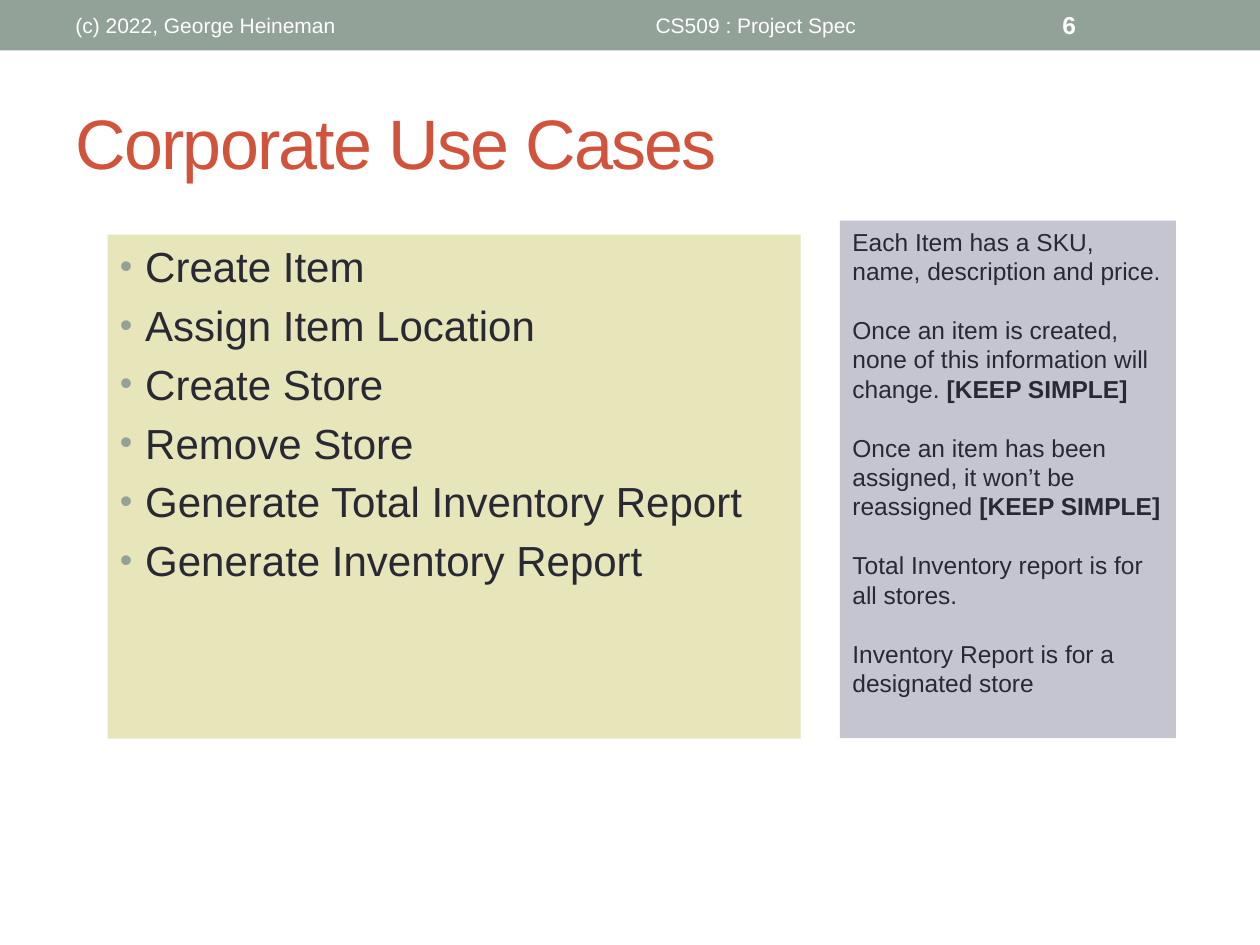
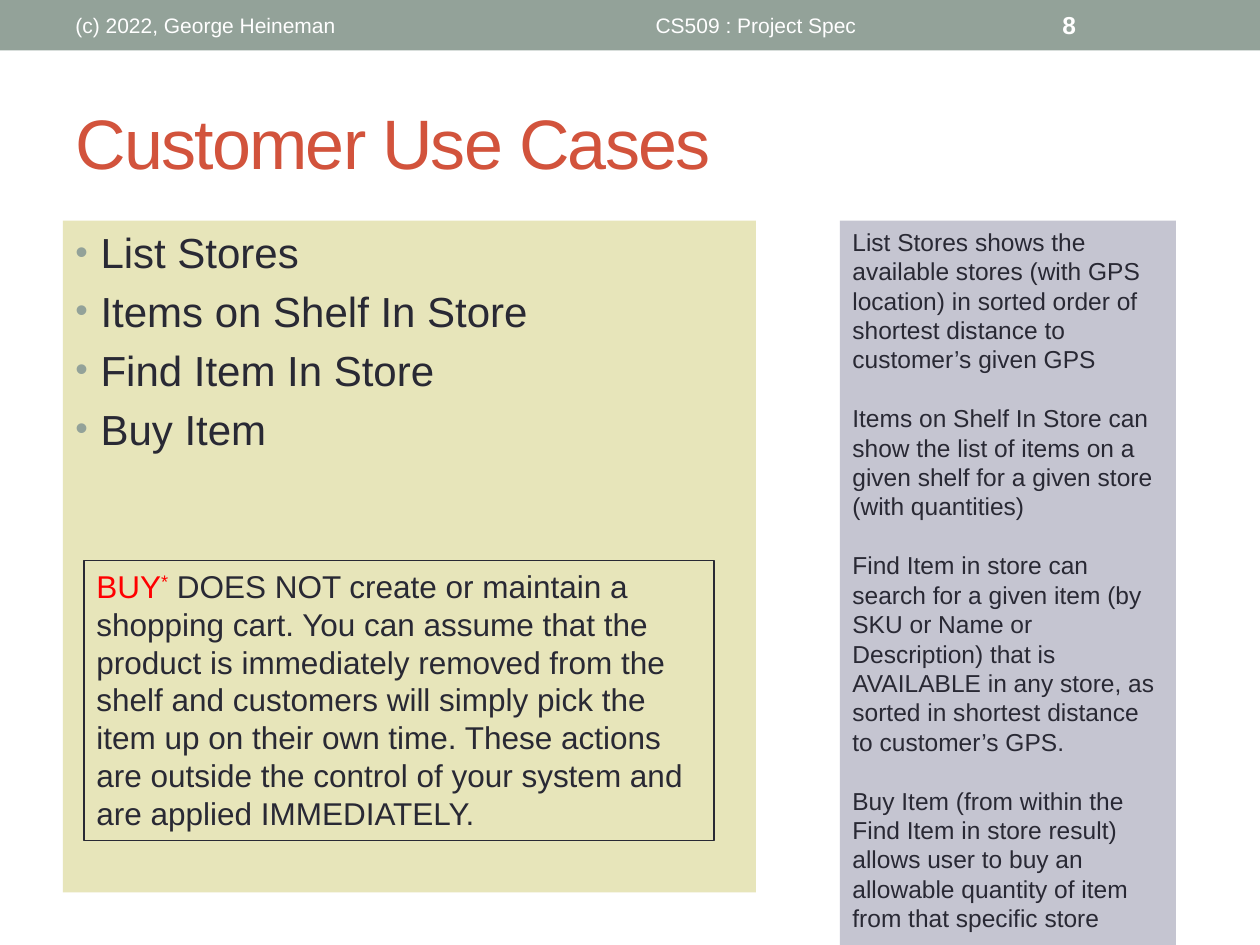
from pptx import Presentation
from pptx.dml.color import RGBColor
from pptx.enum.shapes import MSO_SHAPE as Kind
from pptx.enum.text import MSO_ANCHOR as Anchor, PP_ALIGN as Align
from pptx.oxml.ns import qn
from pptx.util import Inches, Pt
from lxml.etree import SubElement as Sub

WIDE, HIGH = 120, 90          # grid columns and rows on a slide
UNIT = Inches(10) / WIDE
SAGE, RUST, INK, WHITE = "93A299", "D2533C", "292934", "FFFFFF"
SAND, LILAC, RED = "E7E5BA", "C5C5D1", "FF0000"
FONT = "Arial"
LEAD = 1.2                    # line pitch as a share of the text size
RIGHT = 80                    # column where the side notes start
KEEP = "[KEEP SIMPLE]"


def color(code):
    return RGBColor.from_string(code)


def cells(*spots):
    return [round(spot * UNIT) for spot in spots]


def add_box(slide, area, fill=None, line=None):
    box = slide.shapes.add_shape(Kind.RECTANGLE, *cells(*area))
    box.shadow.inherit = False
    if fill:
        box.fill.solid()
        box.fill.fore_color.rgb = color(fill)
    else:
        box.fill.background()
    if line:
        box.line.color.rgb = color(line)
        box.line.width = Pt(0.75)
    else:
        box.line.fill.background()
    box.text_frame.word_wrap = True
    box.text_frame.vertical_anchor = Anchor.TOP
    return box


def add_run(para, text, size, code=INK, bold=False):
    run = para.add_run()
    run.text = text
    font = run.font
    font.name, font.size, font.bold = FONT, Pt(size), bold
    font.color.rgb = color(code)
    return run


def add_label(slide, area, text, size, code, align=Align.LEFT, bold=False):
    """Put one line of text, centred in height, on the slide."""
    box = slide.shapes.add_textbox(*cells(*area))
    frame = box.text_frame
    frame.word_wrap = True
    frame.vertical_anchor = Anchor.MIDDLE
    para = frame.paragraphs[0]
    para.alignment = align
    return add_run(para, text, size, code, bold)


def add_paras(box, count, size, gap):
    """Return left-aligned paragraphs with a gap between them."""
    frame = box.text_frame
    paras = [frame.paragraphs[0]]
    paras += [frame.add_paragraph() for _ in range(count - 1)]
    for rank, para in enumerate(paras):
        para.alignment = Align.LEFT
        para.line_spacing = Pt(size * LEAD)
        if rank:
            para.space_before = Pt(gap)
    return paras


def add_bullet(para):
    props = para._p.get_or_add_pPr()
    props.set("marL", str(Inches(0.2)))
    props.set("indent", str(-Inches(0.2)))
    tint = Sub(props, qn("a:buClr"))
    Sub(tint, qn("a:srgbClr"), val=SAGE)
    Sub(props, qn("a:buSzPct"), val="85000")
    Sub(props, qn("a:buFont"), typeface=FONT)
    Sub(props, qn("a:buChar"), char="•")


def add_list(slide, area, items, size=24):
    box = add_box(slide, area, SAND)
    for para, item in zip(add_paras(box, len(items), size, size * 0.2), items):
        add_bullet(para)
        add_run(para, item, size)


def add_notes(slide, rows, notes, size=14):
    """Fill the side panel; a note is a plain part and a bold part."""
    box = add_box(slide, (RIGHT, 21, 32, rows), LILAC)
    for para, (plain, strong) in zip(
            add_paras(box, len(notes), size, size * LEAD), notes):
        add_run(para, plain, size)
        if strong:
            add_run(para, strong, size, bold=True)


def add_remark(slide, area, word, text, size=18):
    """Frame a remark that opens with a starred red word."""
    box = add_box(slide, area, line=INK)
    para = add_paras(box, 1, size, 0)[0]
    add_run(para, word, size, RED)
    star = add_run(para, "*", size, RED)
    star.font._element.set("baseline", "30000")
    add_run(para, text, size)


def add_page(deck, title, number):
    slide = deck.slides.add_slide(deck.slide_layouts[6])
    add_box(slide, (0, 0, WIDE, 4.8), SAGE)
    head = add_label(slide, (6, 7, 108, 13), title, 40, RUST)
    head.font._element.set("spc", "-100")
    top, tall = 0.24, 4.32
    add_label(slide, (6, top, 38, tall), "(c) 2022, George Heineman", 12, WHITE)
    add_label(slide, (45, top, 54, tall), "CS509 : Project Spec", 12, WHITE,
              Align.CENTER)
    add_label(slide, (100, top, 14, tall), str(number), 14, WHITE, bold=True)
    return slide


def main():
    deck = Presentation()
    deck.slide_width, deck.slide_height = cells(WIDE, HIGH)

    staff = add_page(deck, "Corporate Use Cases", 6)
    add_list(staff, (10.25, 22.35, 66, 48), [
        "Create Item", "Assign Item Location", "Create Store", "Remove Store",
        "Generate Total Inventory Report", "Generate Inventory Report"])
    add_notes(staff, 49.3, [
        ("Each Item has a SKU, name, description and price.", ""),
        ("Once an item is created, none of this information will change. ",
         KEEP),
        ("Once an item has been assigned, it won’t be reassigned ", KEEP),
        ("Total Inventory report is for all stores.", ""),
        ("Inventory Report is for a designated store", "")])

    buyer = add_page(deck, "Customer Use Cases", 8)
    add_list(buyer, (6, 21, 66, 64), [
        "List Stores", "Items on Shelf In Store", "Find Item In Store",
        "Buy Item"])
    add_notes(buyer, HIGH - 21, [
        ("List Stores shows the available stores (with GPS location) in "
         "sorted order of shortest distance to customer’s given GPS", ""),
        ("Items on Shelf In Store can show the list of items on a given "
         "shelf for a given store (with quantities)", ""),
        ("Find Item in store can search for a given item (by SKU or Name or "
         "Description) that is AVAILABLE in any store, as sorted in shortest "
         "distance to customer’s GPS.", ""),
        ("Buy Item (from within the Find Item in store result) allows user "
         "to buy an allowable quantity of item from that specific store", "")])
    add_remark(
        buyer, (8, 53.4, 60, 26.65), "BUY",
        " DOES NOT create or maintain a shopping cart. You can assume that "
        "the product is immediately removed from the shelf and customers will "
        "simply pick the item up on their own time. These actions are outside "
        "the control of your system and are applied IMMEDIATELY.")

    deck.save("out.pptx")


if __name__ == "__main__":
    main()
